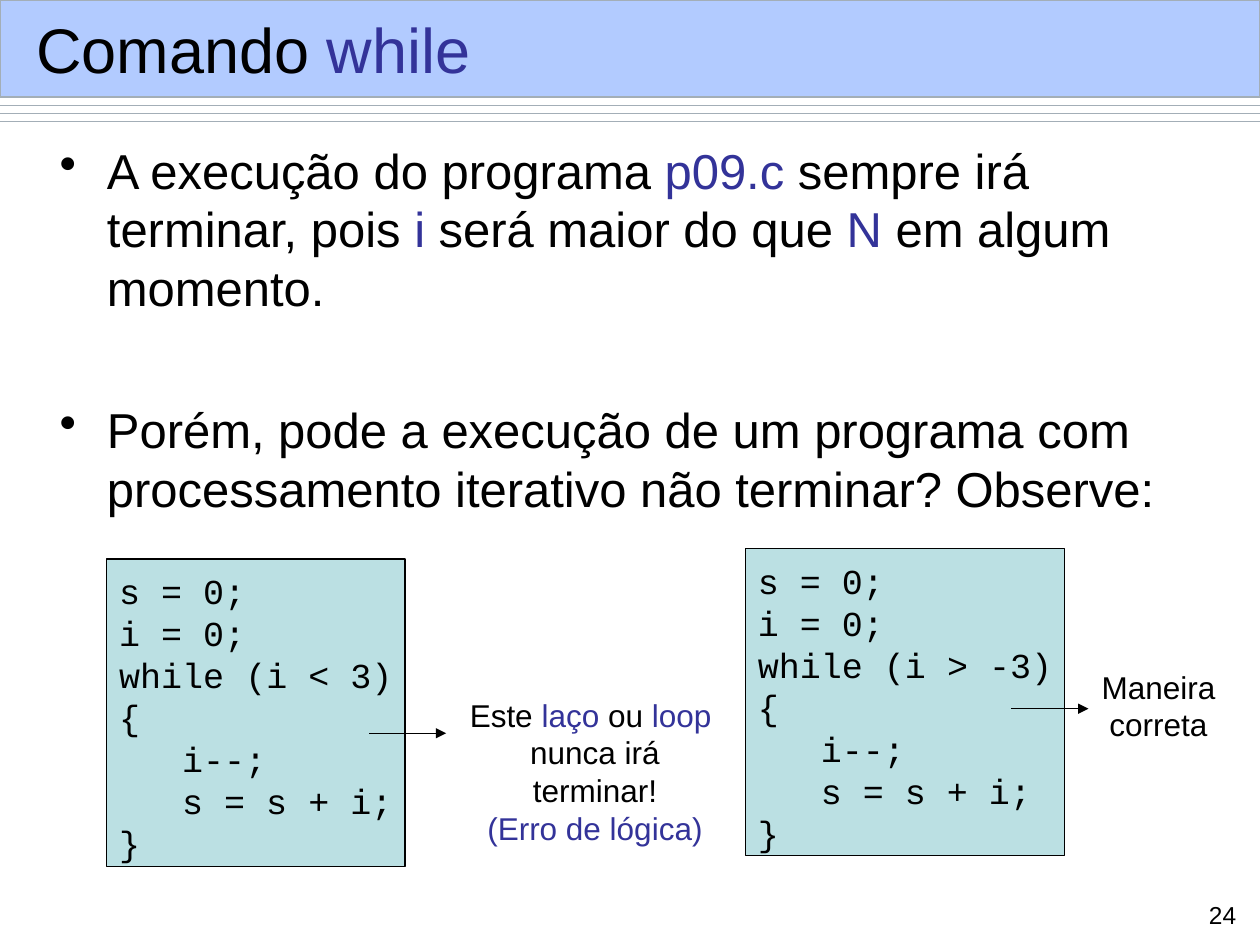
from lxml import etree
from pptx import Presentation
from pptx import util as u
from pptx.dml import color
from pptx.enum import shapes, text
from pptx.oxml import ns

BLACK, ACCENT, RULE, CODE_FILL = "000000", "333399", "A3AEB7", "BBE0E3"
CODE_INDENT = 36


def set_color(target, value):
    """Give a fill or a font colour a hex value."""
    target.rgb = color.RGBColor.from_string(value)


def points(values):
    """Turn numbers in points into lengths."""
    return [u.Pt(value) for value in values]


def add_child(parent, tag, **attributes):
    """Append a drawing element with its attributes."""
    return etree.SubElement(parent, ns.qn(tag), attributes)


def style_line(line, value):
    """Draw a thin line in the given colour."""
    set_color(line.color, value)
    line.width = u.Pt(0.75)


def add_box(slide, box, fill, line, alpha=None):
    """Add an outlined rectangle, see-through if alpha is given."""
    shape = slide.shapes.add_shape(shapes.MSO_SHAPE.RECTANGLE, *points(box))
    shape.shadow.inherit = False
    shape.fill.solid()
    set_color(shape.fill.fore_color, fill)
    style_line(shape.line, line)
    if alpha:
        fill_color = shape.fill._xPr.find(".//" + ns.qn("a:srgbClr"))
        add_child(fill_color, "a:alpha", val=str(alpha * 1000))
    return shape


def add_line(slide, left, right, y, value, arrow=False):
    """Add a horizontal line, with an arrowhead at its right end if asked."""
    line = slide.shapes.add_connector(
        shapes.MSO_CONNECTOR.STRAIGHT, *points((left, y, right, y)))
    style_line(line.line, value)
    if arrow:
        add_child(line.line._get_or_add_ln(), "a:tailEnd", type="triangle")
    add_child(line._element.spPr, "a:effectLst")


def write_text(shape, lines, size, font="Arial", align="LEFT", anchor="TOP",
               wrap=True, top=3.6, gap=0):
    """Write one paragraph per line; words between asterisks are accented."""
    frame = shape.text_frame
    frame.word_wrap = wrap
    frame.vertical_anchor = text.MSO_ANCHOR[anchor]
    frame.margin_top = u.Pt(top)
    for number, line in enumerate(lines):
        paragraph = frame.add_paragraph() if number else frame.paragraphs[0]
        paragraph.alignment = text.PP_ALIGN[align]
        paragraph.line_spacing = u.Pt(size * 1.2)
        paragraph.space_before = u.Pt(gap if number else 0)
        for position, words in enumerate(line.split("*")):
            if words:
                run = paragraph.add_run()
                run.text = words
                run.font.name = font
                run.font.size = u.Pt(size)
                set_color(run.font.color, ACCENT if position % 2 else BLACK)
    return frame.paragraphs


def add_text(slide, box, lines, **style):
    """Add a text box and write its lines."""
    return write_text(slide.shapes.add_textbox(*points(box)), lines, **style)


def indent(paragraph, left, first=0):
    """Set the left margin and first-line indent of a paragraph."""
    properties = paragraph._p.get_or_add_pPr()
    properties.set("marL", str(u.Pt(left)))
    properties.set("indent", str(u.Pt(first)))
    return properties


def add_bullets(slide, box, lines, **style):
    """Add a bulleted text box."""
    for paragraph in add_text(slide, box, lines, **style):
        properties = indent(paragraph, 27, -27)
        bullet_color = add_child(properties, "a:buClr")
        add_child(bullet_color, "a:srgbClr", val=BLACK)
        add_child(properties, "a:buChar", char="•")


def add_code(slide, box, condition):
    """Add a listing of the loop with the given condition."""
    lines = ["s = 0;", "i = 0;", f"while ({condition})", "{",
             "i--;", "s = s + i;", "}"]
    shape = add_box(slide, box, CODE_FILL, BLACK)
    paragraphs = write_text(shape, lines, size=20, font="Courier New",
                            wrap=False, top=6)
    for paragraph in paragraphs[4:6]:
        indent(paragraph, CODE_INDENT)


def add_note(slide, box, lines):
    """Add a centred remark next to a listing."""
    add_text(slide, box, lines, size=18, align="CENTER", wrap=False)


def main():
    """Build the slide on the while command."""
    presentation = Presentation()
    presentation.slide_width, presentation.slide_height = points((720, 540))
    slide = presentation.slides.add_slide(presentation.slide_layouts[6])

    for number in range(3):
        add_line(slide, 0, 720, 60.3 + 4.5 * number, RULE)
    add_box(slide, (0, 0, 720, 55.5), "6699FF", RULE, alpha=50)
    add_text(slide, (13.5, 6.5, 694, 42.5), ["Comando *while*"],
             size=36, anchor="MIDDLE")

    add_bullets(slide, (27, 76.5, 672, 449), [
        "A execução do programa *p09.c* sempre irá terminar, pois *i* "
        "será maior do que *N* em algum momento.",
        "Porém, pode a execução de um programa com processamento "
        "iterativo não terminar? Observe:",
    ], size=28, gap=47.6)

    add_code(slide, (61, 319.5, 170.5, 175.5), "i < 3")
    add_line(slide, 211, 255, 419, BLACK, arrow=True)
    add_note(slide, (258, 394, 164, 72), [
        "Este *laço* ou *loop *", "nunca irá terminar!",
        "*(Erro de lógica)*"])

    add_code(slide, (426, 313.5, 182.5, 175.5), "i > -3")
    add_line(slide, 578, 622, 405, BLACK, arrow=True)
    add_note(slide, (620, 378, 84, 50.5), ["Maneira ", "correta"])

    add_text(slide, (675.5, 511, 38, 22.5), ["24"], size=14, align="RIGHT")
    presentation.save("out.pptx")


if __name__ == "__main__":
    main()
